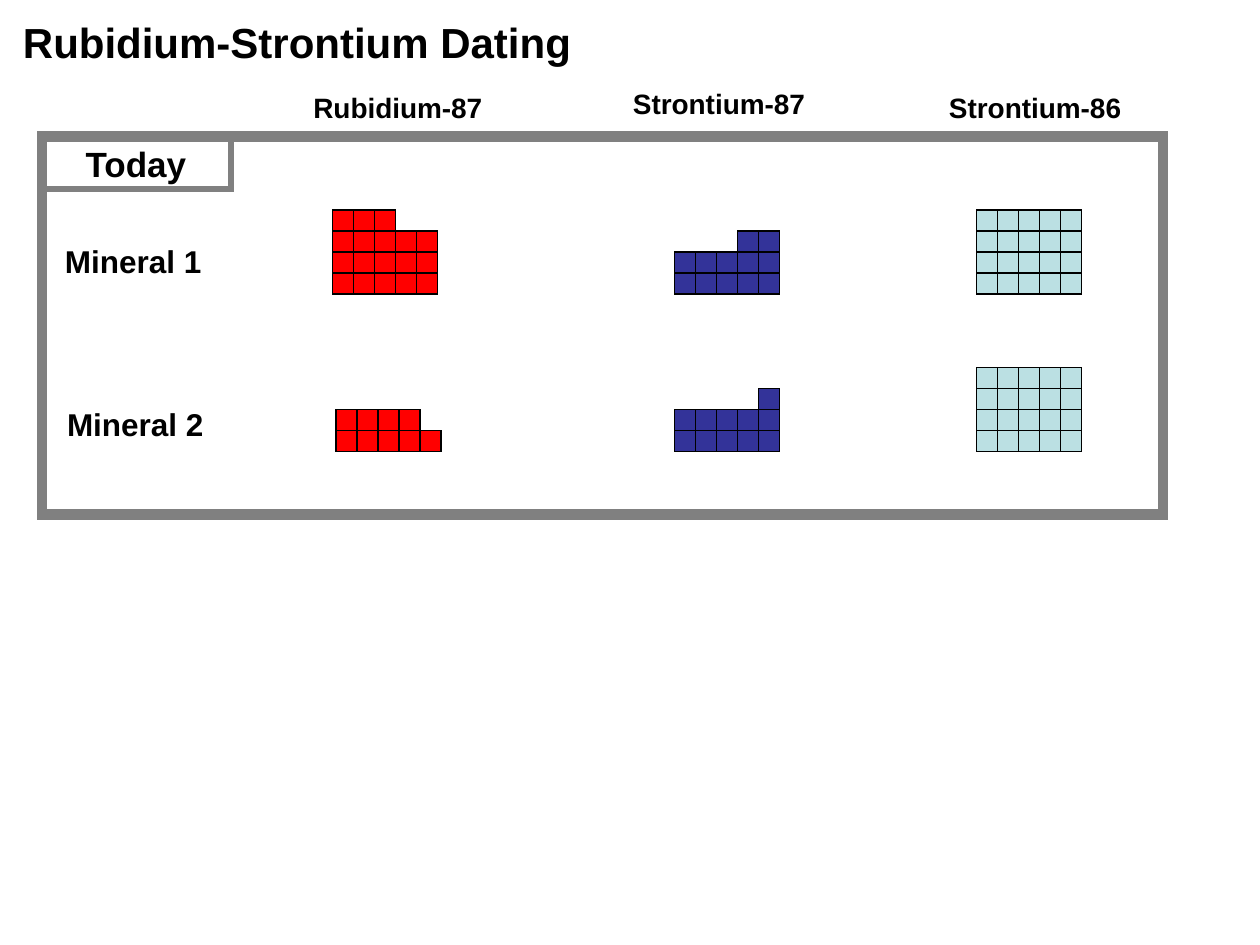
from dataclasses import dataclass

from lxml.etree import SubElement
from pptx import Presentation
from pptx.dml.color import RGBColor as RGB
from pptx.enum.shapes import MSO_SHAPE as Shape
from pptx.enum.text import MSO_AUTO_SIZE as Fit
from pptx.oxml.ns import qn
from pptx.util import Pt


@dataclass
class Theme:
    font: str = "Arial"
    ink: RGB = RGB(0, 0, 0)
    gray: RGB = RGB(128, 128, 128)
    red: RGB = RGB(255, 0, 0)
    blue: RGB = RGB(51, 51, 153)
    pale: RGB = RGB(187, 224, 227)
    title: int = 24
    era: int = 20
    row: int = 18
    head: int = 16


theme = Theme()
deck = Presentation()
deck.slide_width, deck.slide_height = Pt(720), Pt(540)
slide = deck.slides.add_slide(deck.slide_layouts[6])
shapes = slide.shapes


def add_rect(left, top, width, height, fill, line, weight):
    rect = shapes.add_shape(Shape.RECTANGLE, Pt(left), Pt(top), Pt(width), Pt(height))
    rect.shadow.inherit = False
    if fill is None:
        rect.fill.background()
    else:
        rect.fill.solid()
        rect.fill.fore_color.rgb = fill
    rect.line.color.rgb = line
    rect.line.width = Pt(weight)
    SubElement(rect.element.spPr.find(qn("a:ln")), qn("a:miter"), lim="800000")


def add_label(text, left, top, width, height, size):
    box = shapes.add_textbox(Pt(left), Pt(top), Pt(width), Pt(height))
    frame = box.text_frame
    frame.word_wrap = False
    frame.auto_size = Fit.SHAPE_TO_FIT_TEXT
    frame.text = text
    font = frame.paragraphs[0].runs[0].font
    font.name, font.size, font.bold = theme.font, Pt(size), True
    font.color.rgb = theme.ink


add_label("Rubidium-Strontium Dating", 6, 5.8, 328, 36, theme.title)

for name, left, top, width in (
    ("Rubidium-87", 172, 48.2, 111),
    ("Strontium-87", 354.6, 45.8, 113),
    ("Strontium-86", 535.2, 48.2, 113),
):
    add_label(name, left, top, width, 26.6, theme.head)

for name, left, top in (("Mineral 1", 30, 134.9), ("Mineral 2", 31.2, 228.1)):
    add_label(name, left, top, 92.5, 28.8, theme.row)

add_rect(24, 78, 640.5, 216, None, theme.gray, 6)
add_label("Today", 41.8, 78, 73.5, 31.7, theme.era)
add_rect(24, 78, 108, 30, None, theme.gray, 3)

cell, cols = 12, 5
stacks = (
    (190, 168, theme.red, (5, 5, 5, 3), "left"),
    (385.4, 168, theme.blue, (5, 5, 2), "right"),
    (558, 168, theme.pale, (5, 5, 5, 5), "left"),
    (192, 258, theme.red, (5, 4), "left"),
    (385.4, 258, theme.blue, (5, 5, 1), "right"),
    (558, 258, theme.pale, (5, 5, 5, 5), "left"),
)
for left, base, fill, counts, side in stacks:
    for level, count in enumerate(counts, 1):
        skip = cols - count if side == "right" else 0
        for col in range(skip, skip + count):
            add_rect(left + col * cell, base - level * cell, cell, cell, fill, theme.ink, 0.75)

deck.save("out.pptx")
